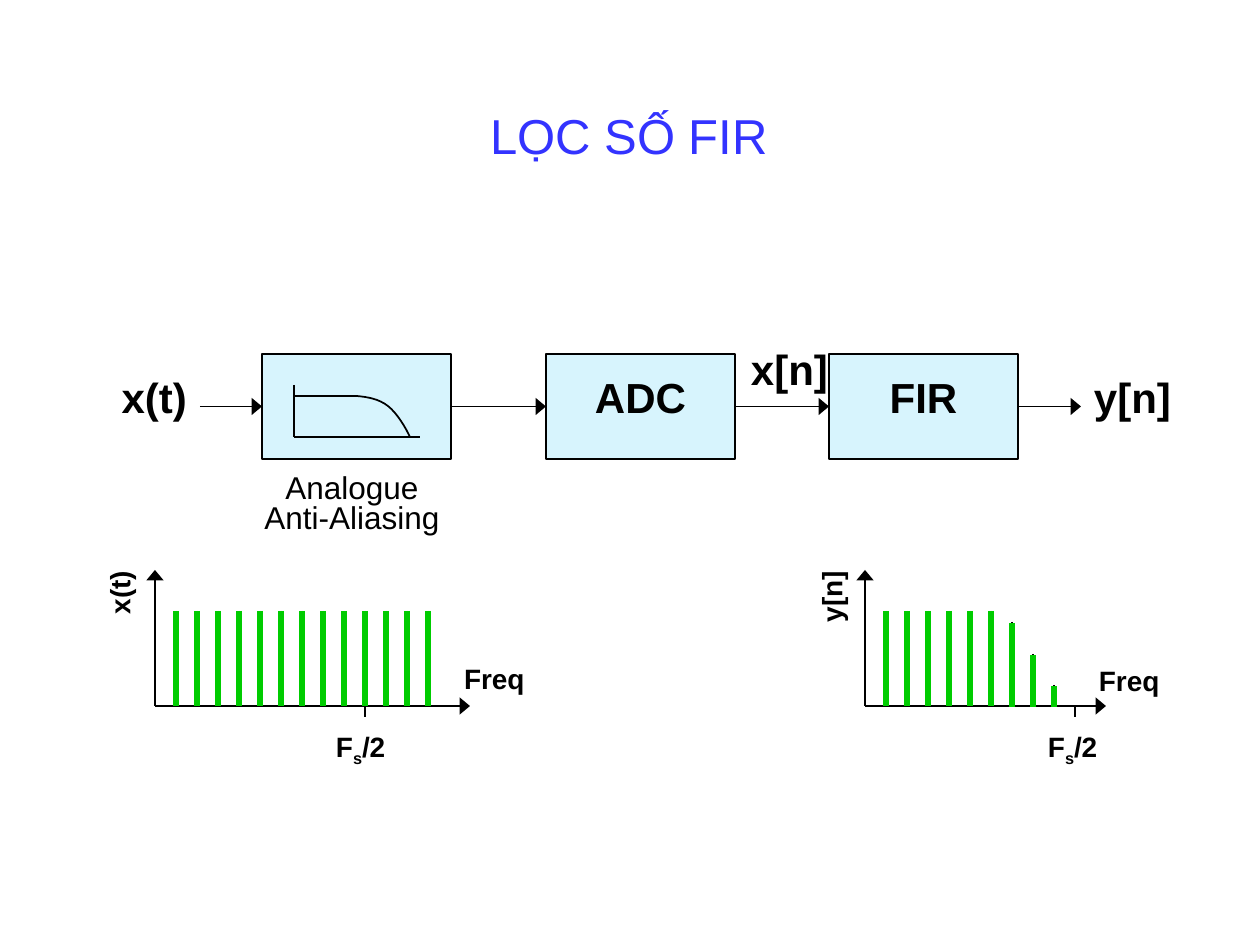
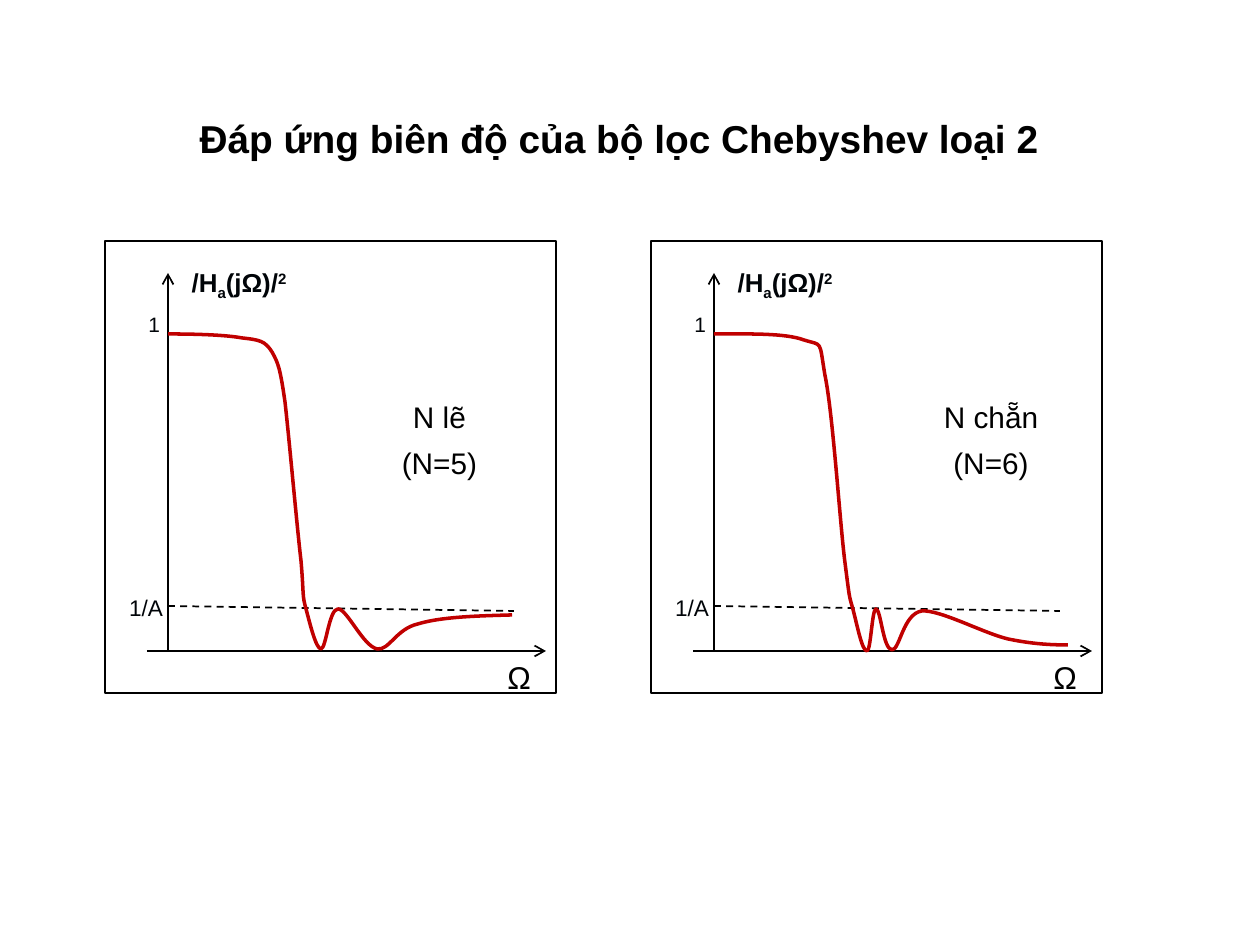
from lxml import etree
from pptx import Presentation, util as u
from pptx.dml.color import RGBColor
from pptx.enum import dml, shapes, text
from pptx.oxml.ns import qn

PX = 914400 / 126  # one px in EMU
FONT = "Arial"
HEX = {"line": "000000", "ink": "000408", "blue": "3333FF", "box": "D7F4FD",
       "stem": "00CC00", "curve": "C00000", "white": "FFFFFF"}
ALIGN = {"l": text.PP_ALIGN.LEFT, "c": text.PP_ALIGN.CENTER, "r": text.PP_ALIGN.RIGHT}
TOP, MID = text.MSO_ANCHOR.TOP, text.MSO_ANCHOR.MIDDLE
INSET, FLUSH = (13, 6, 13, 6), (0, 0, 0, 0)
WEDGE = {"type": "triangle", "w": "lg", "len": "med"}
ARROW = {"type": "arrow"}

# Text formats: size, bold, colour, align, line spacing, space before
BIG = {"size": 24, "bold": True, "gap": 0.8, "before": 15}
AXIS = {"size": 16, "bold": True, "gap": 0.8, "before": 10}
NOTE = {"size": 18, "align": "c", "gap": 0.8, "before": 11.2}
CASE = {"size": 17, "align": "c", "gap": 1.3, "before": 5}
TICK = {"color": "ink", "align": "r", "gap": 1.3, "before": 3.5}
GAIN = {"size": 14.8, "bold": True, "color": "ink", "align": "c", "gap": 1.3, "before": 4}

# Slide 1: block chain and spectra
HEAD1 = ("LỌC SỐ FIR", (103, 74, 1052, 122), {"size": 28, "color": "blue", "align": "c"})
BLOCKS = [262, 546, 829]
BLOCK = (354, 189, 105)  # top, width, height
CHAIN_IN, CHAIN_OUT = 200, 1081
SIGNALS = [("x(t)", (74, 375, 126, 53), "r"), ("ADC", (546, 375, 189, 53), "c"),
           ("x[n]", (715, 347, 126, 53), "r"), ("FIR", (829, 375, 189, 53), "c"),
           ("y[n]", (1081, 375, 126, 53), "l")]
ROLLOFF = [(294, 385, 294, 437), (294, 437, 420, 437), (294, 396, 357, 396)]
KNEE = [(357, 396), (368, 397), (379, 399), (388, 406), (397, 413), (406, 428), (410, 437)]
HALF = [("F", 0), ("s", -25), ("/2", 0)]
STEP, BASE, PEAK, AXIS_TOP = 21, 706, 611, 570
SPECTRA = [
    {"x": 155, "end": 470, "tops": [PEAK] * 13, "name": ("x(t)", 44),
     "freq": (451, 662), "half": 323},
    {"x": 865, "end": 1106, "tops": [PEAK] * 6 + [622, 654, 685], "name": ("y[n]", 756),
     "freq": (1086, 664), "half": 1035},
]

# Slide 2: two response panels, both in the left panel's coordinates
HEAD2 = ("Đáp ứng biên độ của bộ lọc Chebyshev loại 2", (147, 94, 945, 73),
         {"size": 22.2, "bold": True, "align": "c", "gap": 1.3, "before": 6})
PANEL, PITCH = (105, 241, 451, 452), 546
AXES = [((147, 651, 546, 651), {"head": ARROW}), ((168, 606, 514, 611), {"dash": True}),
        ((168, 651, 168, 273), {"head": ARROW})]
POWER = [("/H", 0), ("a", -25), ("(jΩ)/", 0), ("2", 30)]
MARKS = [("Ω", (400, 633, 144, 69), {"size": 18, "align": "r", "gap": 1.5, "before": 4.5},
          {"pad": INSET, "anchor": MID}),
         ("1", (126, 304, 34, 32), {"size": 11.9, **TICK}, {"fill": "white"}),
         (POWER, (180, 256, 118, 42), GAIN, {}),
         ("1/A", (116, 586, 47, 34), {"size": 12.9, **TICK}, {})]
CASES = [
    ("N lẽ (N=5)", 107, [
        (168, 334), (197, 334), (226, 335), (242, 338), (260, 340), (265, 341), (272, 352),
        (278, 363), (280, 367), (285, 402), (289, 437), (297, 527), (301, 561),
        (304, 596), (302, 595), (306, 609), (310, 624), (316, 649), (321, 649),
        (326, 649), (329, 609), (338, 609), (347, 609), (363, 646), (377, 649),
        (389, 651), (396, 629), (418, 624), (441, 617), (476, 616), (512, 615)]),
    ("N chẵn (N=6)", 118, [
        (168, 334), (204, 334), (239, 333), (258, 340), (277, 346), (273, 339), (279, 375),
        (287, 413), (294, 523), (299, 562), (304, 601), (303, 595), (307, 609),
        (311, 624), (316, 651), (321, 651), (325, 651), (326, 610), (330, 609),
        (335, 609), (337, 649), (346, 650), (354, 650), (357, 614), (376, 611),
        (395, 610), (437, 633), (462, 639), (486, 644), (504, 645), (522, 645)]),
]


def emu(*vals):
    return [u.Emu(round(v * PX)) for v in vals]


def rgb(name):
    return RGBColor.from_string(HEX[name])


def write(shape, words, fmt, pad=INSET, anchor=TOP):
    """Fill a shape with one paragraph; words is a string or (text, baseline) pairs."""
    frame = shape.text_frame
    left, top, right, low = emu(*pad)
    look = {"word_wrap": True, "auto_size": text.MSO_AUTO_SIZE.NONE, "vertical_anchor": anchor,
            "margin_left": left, "margin_top": top, "margin_right": right, "margin_bottom": low}
    for key, val in look.items():
        setattr(frame, key, val)
    para = frame.paragraphs[0]
    flow = {"alignment": ALIGN[fmt.get("align", "l")], "line_spacing": fmt.get("gap", 1.0),
            "space_before": u.Pt(fmt.get("before", 0))}
    for key, val in flow.items():
        setattr(para, key, val)
    for part, shift in [(words, 0)] if isinstance(words, str) else words:
        run = para.add_run()
        run.text = part
        face = {"name": FONT, "size": u.Pt(fmt["size"]), "bold": fmt.get("bold", False)}
        for key, val in face.items():
            setattr(run.font, key, val)
        run.font.color.rgb = rgb(fmt.get("color", "line"))
        if shift:
            run.font._element.set("baseline", str(shift * 1000))


def paint(shape, fill):
    if fill:
        shape.fill.solid()
        shape.fill.fore_color.rgb = rgb(fill)
    else:
        shape.fill.background()


def label(slide, words, area, fmt, pad=INSET, anchor=TOP, fill=None, turn=0):
    box = slide.shapes.add_textbox(*emu(*area))
    box.rotation = turn
    paint(box, fill)
    write(box, words, fmt, pad, anchor)


def outline(shape, color="line", width=1):
    shape.line.color.rgb = rgb(color)
    shape.line.width = u.Pt(width)


def rect(slide, area, fill=None, width=1):
    box = slide.shapes.add_shape(shapes.MSO_SHAPE.RECTANGLE, *emu(*area))
    box.shadow.inherit = False
    paint(box, fill)
    outline(box, width=width)
    return box


def line(slide, ends, color="line", width=1, head=None, dash=False):
    wire = slide.shapes.add_connector(shapes.MSO_CONNECTOR.STRAIGHT, *emu(*ends))
    outline(wire, color, width)
    if dash:
        wire.line.dash_style = dml.MSO_LINE.DASH
    if head:
        etree.SubElement(wire.line._get_or_add_ln(), qn("a:tailEnd"), head)
    etree.SubElement(wire._element.spPr, qn("a:effectLst"))
    return wire


def curve(slide, pts, color, width, shift=0):
    """Draw chained cubic Bézier pieces: a start, then three points for each piece."""
    dots = [emu(x + shift, y) for x, y in pts]
    pen = slide.shapes.build_freeform(*dots[0], scale=1.0)
    pen.add_line_segments(dots[1:], close=False)
    shape = pen.convert_to_shape()
    # Turn each run of three line points into one Bézier piece
    track = next(shape._element.iter(qn("a:moveTo"))).getparent()
    legs = track.findall(qn("a:lnTo"))
    for i in range(0, len(legs), 3):
        piece = etree.SubElement(track, qn("a:cubicBezTo"))
        for leg in legs[i:i + 3]:
            piece.append(leg[0])
            track.remove(leg)
    shape.shadow.inherit = False
    paint(shape, None)
    outline(shape, color, width)


def start(deck, words, area, fmt):
    slide = deck.slides.add_slide(deck.slide_layouts[5])
    title = slide.shapes.title
    title.left, title.top, title.width, title.height = emu(*area)
    write(title, words, fmt, INSET, MID)
    return slide


def chain(slide):
    top, wide, high = BLOCK
    mid = top + high / 2
    boxes = [rect(slide, (x, top, wide, high), "box") for x in BLOCKS]
    # Arrows run from each block to the next, with a free end at both sides
    froms = [CHAIN_IN] + [x + wide for x in BLOCKS]
    for i, (a, b) in enumerate(zip(froms, BLOCKS + [CHAIN_OUT])):
        wire = line(slide, (a, mid, b, mid), head=WEDGE)
        if i > 0:
            wire.begin_connect(boxes[i - 1], 3)
        if i < len(boxes):
            wire.end_connect(boxes[i], 1)
    for words, area, side in SIGNALS:
        label(slide, words, area, {**BIG, "align": side})
    label(slide, "Analogue Anti-Aliasing", (242, 469, 220, 73), NOTE)
    # Low-pass sketch in the first block
    for ends in ROLLOFF:
        line(slide, ends)
    curve(slide, KNEE, "line", 1)


def spectrum(slide, plot):
    x = plot["x"]
    line(slide, (x, BASE, plot["end"], BASE), head=WEDGE)
    line(slide, (x, BASE, x, AXIS_TOP), head=WEDGE)
    line(slide, (x + 10 * STEP, BASE, x + 10 * STEP, BASE + 11))
    for i, top in enumerate(plot["tops"], 1):
        at, drop = x + i * STEP, int(top > PEAK)
        line(slide, (at, top, at, BASE))
        line(slide, (at, top + drop, at, BASE + drop), "stem", 3.25)
    name, left = plot["name"]
    label(slide, name, (left, 617, 158, 40), {**AXIS, "align": "r"}, turn=270)
    label(slide, "Freq", (*plot["freq"], 158, 40), AXIS)
    label(slide, HALF, (plot["half"], 727, 158, 44), AXIS)


def panel(slide, shift, words, wide, pts):
    def move(area):
        return (area[0] + shift, *area[1:])

    group = slide.shapes.add_group_shape()
    rect(group, move(PANEL), width=0.75)
    for (x1, y1, x2, y2), look in AXES:
        line(group, (x1 + shift, y1, x2 + shift, y2), **look)
    label(group, words, move((386, 388, wide, 95)), CASE, FLUSH, fill="white")
    for mark, area, fmt, look in MARKS:
        label(group, mark, move(area), fmt, **{"pad": FLUSH, **look})
    curve(group, pts, "curve", 2, shift)


def main():
    deck = Presentation()
    deck.slide_width, deck.slide_height = emu(1260, 945)
    first = start(deck, *HEAD1)
    chain(first)
    for plot in SPECTRA:
        spectrum(first, plot)
    second = start(deck, *HEAD2)
    for i, case in enumerate(CASES):
        panel(second, i * PITCH, *case)
    deck.save("out.pptx")


if __name__ == "__main__":
    main()
